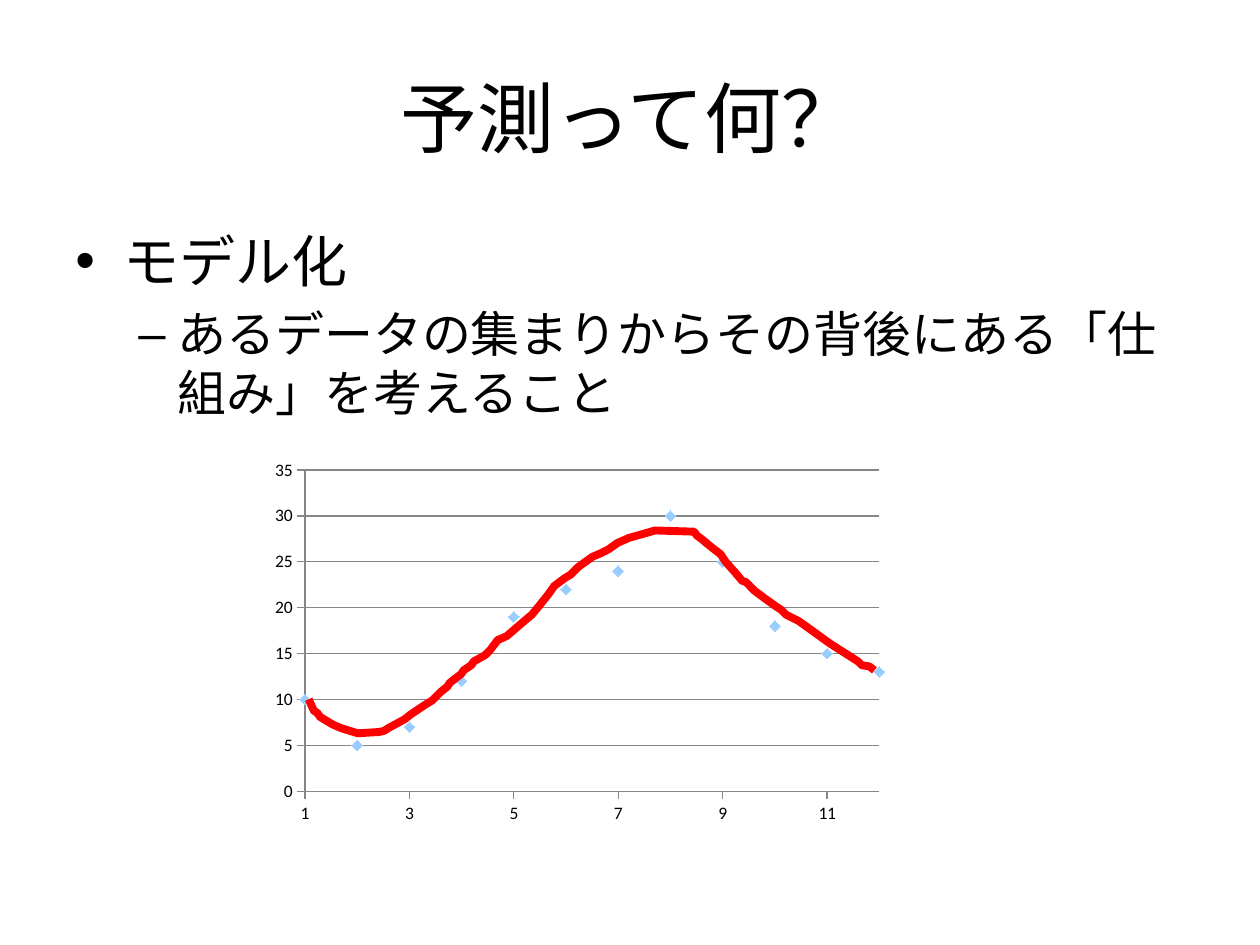
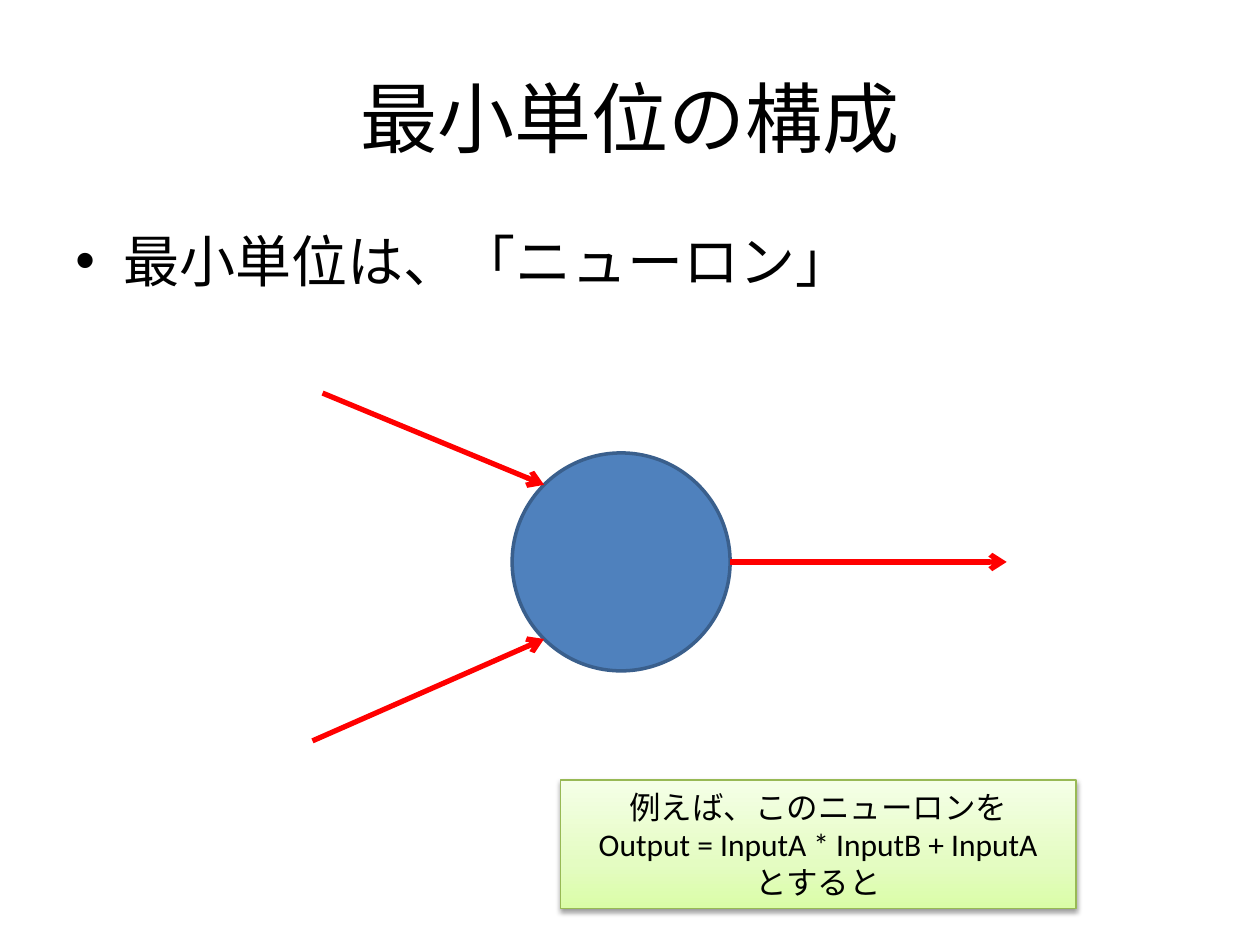
from dataclasses import dataclass
from math import sqrt

from lxml import etree
from pptx import Presentation
from pptx.chart.data import XyChartData
from pptx.dml.color import RGBColor
from pptx.enum.chart import XL_CHART_TYPE, XL_MARKER_STYLE, XL_TICK_MARK
from pptx.enum.shapes import MSO_CONNECTOR, MSO_SHAPE
from pptx.enum.text import MSO_ANCHOR, PP_ALIGN
from pptx.oxml import parse_xml
from pptx.oxml.ns import nsdecls, qn
from pptx.util import Inches, Pt


@dataclass(frozen=True)
class Theme:
    font: str = "Calibri"
    text: str = "000000"
    blue: str = "4F81BD"
    blue_edge: str = "3A5F8C"
    marker: str = "99CCFF"
    red: str = "FF0000"
    grid: str = "868686"
    green_edge: str = "98B955"
    greens: tuple = ((0, "DAFDA7"), (35, "E4FCC2"), (100, "F5FFE7"))
    title_size: int = 44
    body_sizes: tuple = (32, 28)
    note_size: int = 18
    chart_size: int = 10


THEME = Theme()
TITLE_BOX = (0.5, 0.3, 9, 1.25)
# Bullet character, left margin and hanging indent of each level
LEVELS = (("•", 0.38, -0.38), ("–", 0.81, -0.31))

MONTHLY_VALUES = (10, 5, 7, 12, 19, 22, 24, 30, 25, 18, 15, 13)
# Hand-drawn model curve, hundredths of an inch from the chart's corner
MODEL_CURVE = (
    (36, 196), (40, 205), (43, 207), (45, 210), (55, 216), (62, 219),
    (65, 220), (75, 223), (92, 222), (96, 221), (99, 219), (112, 212),
    (117, 208), (129, 200), (134, 197), (141, 190), (146, 186), (148, 183),
    (153, 179), (157, 176), (159, 173), (165, 169), (167, 166), (176, 161),
    (180, 157), (186, 149), (193, 146), (207, 134), (213, 129), (218, 123),
    (226, 113), (231, 106), (239, 100), (244, 97), (250, 91), (261, 83),
    (268, 80), (274, 77), (281, 72), (290, 68), (297, 66), (311, 62),
    (342, 63), (344, 66), (348, 69), (354, 74), (363, 81), (367, 87),
    (375, 96), (380, 102), (383, 103), (390, 110), (398, 116), (405, 121),
    (411, 125), (415, 129), (425, 134), (432, 139), (450, 152), (461, 159),
    (472, 166), (475, 169), (481, 170), (485, 173),
)


# Shared helpers
def rgb(value):
    return RGBColor.from_string(value)


def inches(box):
    return [Inches(v) for v in box]


def set_line(line, color, width):
    line.color.rgb = rgb(color)
    line.width = Pt(width)


def set_font(font, size):
    font.name = THEME.font
    font.size = Pt(size)
    font.color.rgb = rgb(THEME.text)


def write(paragraph, text, size, align=None):
    paragraph.alignment = align
    run = paragraph.add_run()
    run.text = text
    set_font(run.font, size)


def paragraphs(frame, count):
    return [frame.paragraphs[0]] + [frame.add_paragraph() for _ in range(count - 1)]


def add_title(slide, box, text):
    frame = slide.shapes.add_textbox(*inches(box)).text_frame
    frame.word_wrap = True
    frame.vertical_anchor = MSO_ANCHOR.MIDDLE
    write(frame.paragraphs[0], text, THEME.title_size, PP_ALIGN.CENTER)


def add_bullets(slide, box, items):
    """Items are (level, text) pairs."""
    frame = slide.shapes.add_textbox(*inches(box)).text_frame
    frame.word_wrap = True
    for paragraph, (level, text) in zip(paragraphs(frame, len(items)), items):
        size = THEME.body_sizes[level]
        bullet, margin, indent = LEVELS[level]
        write(paragraph, text, size)
        paragraph.level = level
        paragraph.space_before = Pt(size * 0.2)
        props = paragraph._p.get_or_add_pPr()
        props.set("marL", str(Inches(margin)))
        props.set("indent", str(Inches(indent)))
        etree.SubElement(props, qn("a:buFont")).set("typeface", "Arial")
        etree.SubElement(props, qn("a:buChar")).set("char", bullet)


# Scatter chart and the curve over it
def style_axis(axis, low, high, step, gridlines):
    axis.minimum_scale, axis.maximum_scale, axis.major_unit = low, high, step
    axis.major_tick_mark = XL_TICK_MARK.OUTSIDE
    axis.minor_tick_mark = XL_TICK_MARK.NONE
    axis.has_major_gridlines = gridlines
    set_line(axis.format.line, THEME.grid, 0.75)
    if gridlines:
        set_line(axis.major_gridlines.format.line, THEME.grid, 0.75)


def add_scatter(slide, box):
    data = XyChartData()
    points = data.add_series("Series 1")
    for x, y in enumerate(MONTHLY_VALUES, 1):
        points.add_data_point(x, y)
    chart = slide.shapes.add_chart(XL_CHART_TYPE.XY_SCATTER, *inches(box), data).chart
    chart.has_legend = False
    chart.has_title = False
    set_font(chart.font, THEME.chart_size)
    chart.plots[0].vary_by_categories = False
    style_axis(chart.category_axis, 1, 12, 2, False)
    style_axis(chart.value_axis, 0, 35, 5, True)

    series = chart.plots[0].series[0]
    series.smooth = False
    series.format.line.fill.background()
    series.marker.style = XL_MARKER_STYLE.DIAMOND
    series.marker.size = 6
    series.marker.format.fill.solid()
    series.marker.format.fill.fore_color.rgb = rgb(THEME.marker)
    series.marker.format.line.fill.background()

    # Fixed inner plot area, as fractions of the chart
    plot_area = chart._chartSpace.chart.plotArea
    for old in plot_area.findall(qn("c:layout")):
        plot_area.remove(old)
    plot_area.insert(0, parse_xml(
        f'<c:layout {nsdecls("c")}><c:manualLayout><c:layoutTarget val="inner"/>'
        '<c:xMode val="edge"/><c:yMode val="edge"/><c:x val="0.066"/>'
        '<c:y val="0.047"/><c:w val="0.912"/><c:h val="0.85"/>'
        '</c:manualLayout></c:layout>'))


def add_model_curve(slide, box):
    left, top = box[0] * 100, box[1] * 100
    points = [(left + x, top + y) for x, y in MODEL_CURVE]
    builder = slide.shapes.build_freeform(*points[0], scale=Inches(0.01))
    builder.add_line_segments(points[1:], close=False)
    curve = builder.convert_to_shape()
    curve.shadow.inherit = False
    curve.fill.background()
    set_line(curve.line, THEME.red, 4.5)


# Neuron diagram
def add_arrow(shapes, start, end):
    arrow = shapes.add_connector(MSO_CONNECTOR.STRAIGHT, *inches(start + end))
    set_line(arrow.line, THEME.red, 3)
    etree.SubElement(arrow.line._get_or_add_ln(), qn("a:tailEnd")).set("type", "arrow")
    etree.SubElement(arrow._element.spPr, qn("a:effectLst"))


def add_neuron(slide, box):
    left, top, width, height = box
    diameter = 1.73
    radius = diameter / 2
    cx, cy = left + 2.45, top + 1.34
    shapes = slide.shapes.add_group_shape().shapes
    cell = shapes.add_shape(MSO_SHAPE.OVAL, *inches(
        (cx - radius, cy - radius, diameter, diameter)))
    cell.shadow.inherit = False
    cell.fill.solid()
    cell.fill.fore_color.rgb = rgb(THEME.blue)
    set_line(cell.line, THEME.blue_edge, 2)
    # Two inputs meet the circle at 45 degrees, one output leaves on the right
    diagonal = radius / sqrt(2)
    add_arrow(shapes, (left + 0.08, top), (cx - diagonal, cy - diagonal))
    add_arrow(shapes, (left, top + height), (cx - diagonal, cy + diagonal))
    add_arrow(shapes, (cx + radius, cy), (left + width, cy))


def add_note(slide, box, lines):
    note = slide.shapes.add_shape(MSO_SHAPE.RECTANGLE, *inches(box))
    note.fill.background()
    set_line(note.line, THEME.green_edge, 0.75)
    props = note._element.spPr
    stops = "".join(f'<a:gs pos="{pos * 1000}"><a:srgbClr val="{color}"/></a:gs>'
                    for pos, color in THEME.greens)
    props.replace(props.find(qn("a:noFill")), parse_xml(
        f'<a:gradFill {nsdecls("a")} rotWithShape="1"><a:gsLst>{stops}</a:gsLst>'
        '<a:lin ang="16200000" scaled="0"/></a:gradFill>'))
    props.append(parse_xml(
        f'<a:effectLst {nsdecls("a")}><a:outerShdw blurRad="{Pt(3.1)}" '
        f'dist="{Pt(1.6)}" dir="5400000" rotWithShape="0">'
        f'<a:srgbClr val="{THEME.text}"><a:alpha val="38000"/></a:srgbClr>'
        '</a:outerShdw></a:effectLst>'))
    frame = note.text_frame
    frame.word_wrap = True
    frame.vertical_anchor = MSO_ANCHOR.MIDDLE
    for paragraph, text in zip(paragraphs(frame, len(lines)), lines):
        write(paragraph, text, THEME.note_size, PP_ALIGN.CENTER)


# Slides
def build_prediction_slide(slide):
    add_title(slide, TITLE_BOX, "予測って何？")
    add_bullets(slide, (0.5, 1.75, 9, 4.95), (
        (0, "モデル化"),
        (1, "あるデータの集まりからその背後にある「仕組み」を考えること"),
    ))
    chart_box = (2.09, 3.59, 5, 3)
    add_scatter(slide, chart_box)
    add_model_curve(slide, chart_box)


def build_neuron_slide(slide):
    add_title(slide, TITLE_BOX, "最小単位の構成")
    add_bullets(slide, (0.5, 1.75, 9, 0.74), ((0, "最小単位は、「ニューロン」"),))
    add_neuron(slide, (2.48, 3.12, 5.51, 2.76))
    add_note(slide, (4.45, 6.19, 4.09, 1.02), (
        "例えば、このニューロンを", "Output = InputA * InputB + InputA", "とすると"))


prs = Presentation()
prs.slide_width, prs.slide_height = Inches(10), Inches(7.5)
for build in (build_prediction_slide, build_neuron_slide):
    build(prs.slides.add_slide(prs.slide_layouts[6]))
prs.save("out.pptx")
